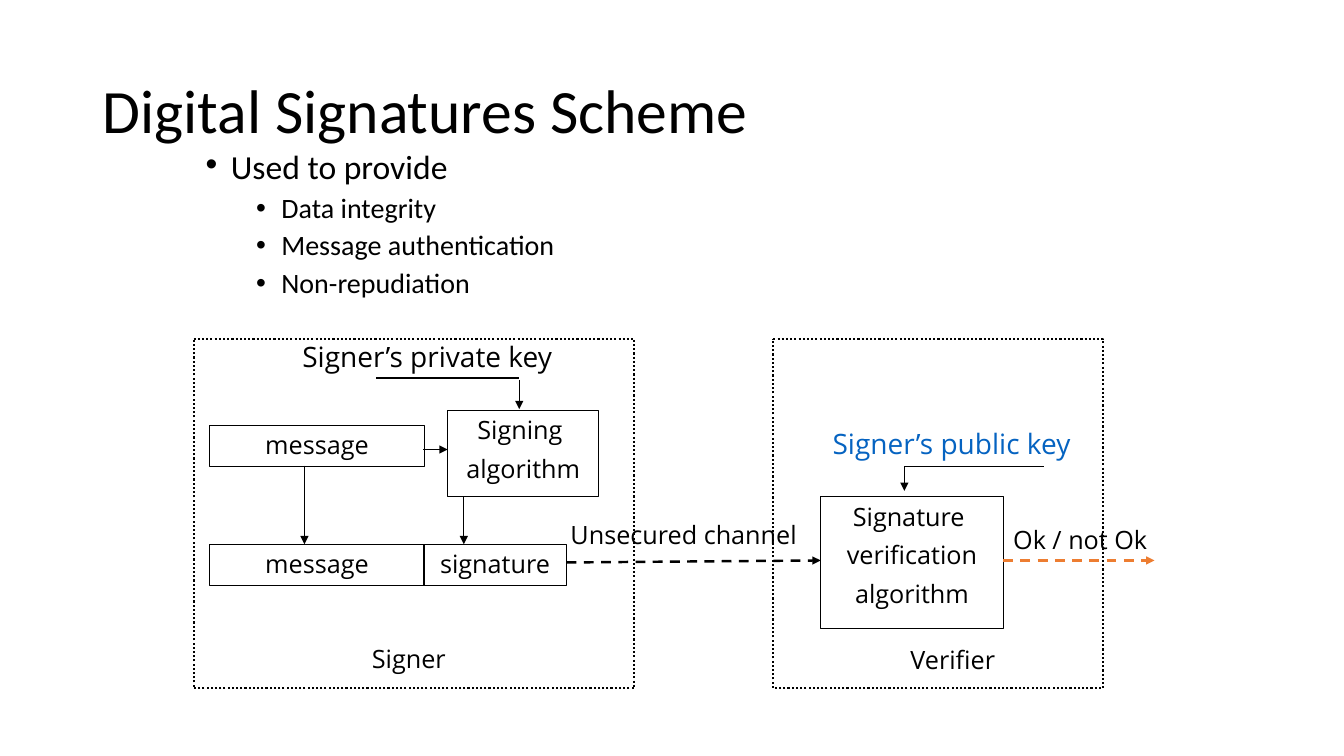
from dataclasses import dataclass

from lxml import etree
from pptx import Presentation
from pptx.dml.color import RGBColor
from pptx.enum.dml import MSO_LINE
from pptx.enum.shapes import MSO_CONNECTOR, MSO_SHAPE
from pptx.enum.text import MSO_ANCHOR, MSO_AUTO_SIZE, PP_ALIGN
from pptx.oxml.ns import qn
from pptx.util import Inches, Pt

RECTANGLE, PROCESS = MSO_SHAPE.RECTANGLE, MSO_SHAPE.FLOWCHART_PROCESS
STRAIGHT = MSO_CONNECTOR.STRAIGHT
DOTTED, DASHED = MSO_LINE.ROUND_DOT, MSO_LINE.DASH
TOP, MIDDLE = MSO_ANCHOR.TOP, MSO_ANCHOR.MIDDLE
LEFT, CENTER = PP_ALIGN.LEFT, PP_ALIGN.CENTER
NO_AUTOFIT = MSO_AUTO_SIZE.NONE


@dataclass(frozen=True)
class Theme:
    heading_font: str = "Calibri"
    diagram_font: str = "Open Sans"
    black: str = "000000"
    blue: str = "0563C1"
    orange: str = "ED7D31"
    title_size: float = 44
    list_size: float = 24
    list_gap_size: float = 28
    sublist_size: float = 20
    key_size: float = 20
    diagram_size: float = 18
    thin: float = 0.75
    frame: float = 1.5
    channel: float = 1.75


THEME = Theme()


def add_text(paragraph, text, *, size, font=THEME.diagram_font, color=THEME.black,
             align=LEFT, before=0, spacing=1.0):
    """Append a formatted run and set the paragraph's layout."""
    paragraph.alignment = align
    paragraph.space_before = Pt(before)
    paragraph.line_spacing = spacing
    run = paragraph.add_run()
    run.text = text
    run.font.name = font
    run.font.size = Pt(size)
    run.font.color.rgb = RGBColor.from_string(color)


def place(shape, left, top, width, height):
    shape.left, shape.top = Inches(left), Inches(top)
    shape.width, shape.height = Inches(width), Inches(height)


class SlideBuilder:
    def __init__(self, slide, theme):
        self.slide = slide
        self.theme = theme

    def title(self, text, *box):
        shape = self.slide.shapes.title
        place(shape, *box)
        shape.text_frame.vertical_anchor = MIDDLE
        shape.text_frame.auto_size = NO_AUTOFIT
        add_text(shape.text_frame.paragraphs[0], text, size=self.theme.title_size,
                 font=self.theme.heading_font, spacing=0.9)

    def bullets(self, heading, items, *box):
        theme = self.theme
        shape = self.slide.placeholders[1]
        place(shape, *box)
        frame = shape.text_frame
        frame.vertical_anchor = TOP
        frame.auto_size = NO_AUTOFIT
        style = {"font": theme.heading_font, "spacing": 0.9}
        first = frame.paragraphs[0]
        add_text(first, heading, size=theme.list_size, before=10, **style)
        add_text(first, " ", size=theme.list_gap_size, before=10, **style)
        self.bullet(first, 0.25)
        for item in items:
            paragraph = frame.add_paragraph()
            paragraph.level = 1
            add_text(paragraph, item, size=theme.sublist_size, before=5, **style)
            self.bullet(paragraph, 0.75)

    def bullet(self, paragraph, indent):
        properties = paragraph._p.get_or_add_pPr()
        properties.set("marL", str(Inches(indent)))
        properties.set("indent", str(Inches(-0.25)))
        etree.SubElement(properties, qn("a:buFont")).set("typeface", "Arial")
        etree.SubElement(properties, qn("a:buChar")).set("char", "•")

    def box(self, left, top, width, height, lines=(), kind=RECTANGLE,
            weight=THEME.thin, dash=None):
        shape = self.slide.shapes.add_shape(kind, 0, 0, 0, 0)
        place(shape, left, top, width, height)
        shape.shadow.inherit = False
        shape.fill.background()
        self.outline(shape.line, self.theme.black, weight, dash)
        self.fill_text(shape.text_frame, lines, size=self.theme.diagram_size, align=CENTER)

    def label(self, text, left, top, width, height=0.4, **style):
        shape = self.slide.shapes.add_textbox(0, 0, 0, 0)
        place(shape, left, top, width, height)
        self.fill_text(shape.text_frame, [text],
                       **{"size": self.theme.diagram_size, **style})

    def fill_text(self, frame, lines, **style):
        frame.word_wrap = True
        frame.auto_size = NO_AUTOFIT
        frame.vertical_anchor = TOP
        frame.margin_top = frame.margin_bottom = Inches(0.04)
        for number, line in enumerate(lines):
            paragraph = frame.add_paragraph() if number else frame.paragraphs[0]
            add_text(paragraph, line, before=6 if number else 0, **style)

    def line(self, start, end, arrow=True, color=THEME.black, weight=THEME.thin, dash=None):
        points = [Inches(value) for value in (*start, *end)]
        connector = self.slide.shapes.add_connector(STRAIGHT, *points)
        self.outline(connector.line, color, weight, dash)
        if arrow:
            outline = connector.line._get_or_add_ln()
            etree.SubElement(outline, qn("a:tailEnd")).set("type", "triangle")
        etree.SubElement(connector._element.spPr, qn("a:effectLst"))

    def outline(self, line, color, weight, dash):
        line.color.rgb = RGBColor.from_string(color)
        line.width = Pt(weight)
        if dash:
            line.dash_style = dash


def main():
    presentation = Presentation()
    presentation.slide_width, presentation.slide_height = Inches(13.33), Inches(7.5)
    slide = presentation.slides.add_slide(presentation.slide_layouts[1])
    builder = SlideBuilder(slide, THEME)

    # Title and list
    builder.title("Digital Signatures Scheme", 0.92, 0.4, 11.5, 1.45)
    builder.bullets("Used to provide",
                    ["Data integrity", "Message authentication", "Non-repudiation"],
                    1.94, 1.39, 9.34, 4.72)

    # Dotted frames of the two parties
    for left, width in ((1.92, 4.37), (7.67, 3.27)):
        builder.box(left, 3.36, width, 3.47, kind=PROCESS, weight=THEME.frame, dash=DOTTED)

    # Signer
    for top in (4.22, 5.4):
        builder.box(2.08, top, 2.13, 0.41, ["message"])
    builder.box(4.2, 5.4, 1.42, 0.41, ["signature"])
    builder.box(4.44, 4.07, 1.5, 0.86, ["Signing ", "algorithm"])
    builder.label("Signer’s private key", 2.9, 3.33, 2.98, 0.43, size=THEME.key_size)
    builder.label("Signer", 3.59, 6.34, 1.01)
    builder.line((3.73, 3.75), (5.15, 3.75), arrow=False)
    for start, end in (((5.15, 3.77), (5.15, 4.06)), ((4.2, 4.46), (4.44, 4.46)),
                       ((3.02, 4.62), (3.02, 5.4)), ((4.6, 4.93), (4.6, 5.4))):
        builder.line(start, end)

    # Verifier
    builder.box(8.14, 4.93, 1.81, 1.31, ["Signature ", "verification", "algorithm"])
    builder.label("Signer’s public key", 8.16, 4.19, 2.83, 0.43,
                  size=THEME.key_size, color=THEME.blue)
    builder.label("Verifier", 8.55, 6.35, 1.8, align=CENTER)
    builder.line((8.97, 4.63), (10.35, 4.63), arrow=False)
    builder.line((8.97, 4.63), (8.97, 4.87))

    # Channel and result
    builder.label("Unsecured channel", 5.56, 5.11, 2.58)
    builder.line((5.62, 5.58), (8.14, 5.56), weight=THEME.channel, dash=DASHED)
    builder.label("Ok / not Ok", 9.95, 5.16, 1.68)
    builder.line((9.95, 5.56), (11.45, 5.56), color=THEME.orange,
                 weight=THEME.channel, dash=DASHED)

    presentation.save("out.pptx")


if __name__ == "__main__":
    main()
